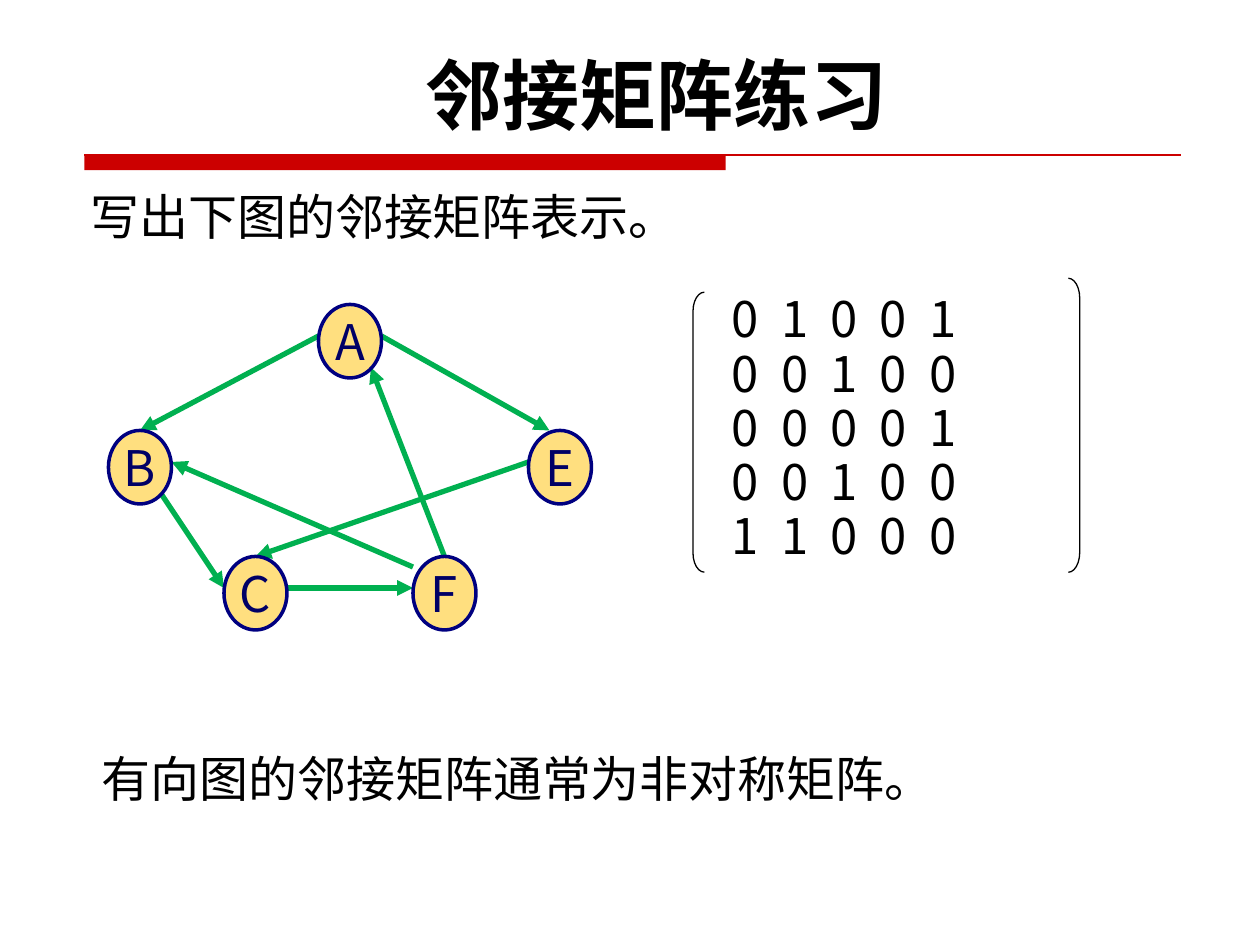
import pptx
import pptx.dml.color
import pptx.enum.shapes
import pptx.enum.text
import pptx.oxml.ns
import pptx.util
from lxml import etree

Pt = pptx.util.Pt
SHAPE = pptx.enum.shapes.MSO_SHAPE
ALIGN = pptx.enum.text.PP_ALIGN
ANCHOR = pptx.enum.text.MSO_ANCHOR
qn = pptx.oxml.ns.qn
SANS = "Noto Sans CJK SC"


def color(hex_value):
    """Turn a hex string into a colour."""
    return pptx.dml.color.RGBColor.from_string(hex_value)


def write(shape, text, size=28, font=SANS, ink="000000", bold=False, align=ALIGN.LEFT,
          anchor=ANCHOR.TOP, wrap=True, inset=None, spacing=None, tabs=()):
    """Put one formatted paragraph into a shape."""
    frame = shape.text_frame
    frame.word_wrap = wrap
    frame.vertical_anchor = anchor
    if inset is not None:
        frame.margin_left = frame.margin_right = Pt(inset)
        frame.margin_top = frame.margin_bottom = Pt(inset)
    paragraph = frame.paragraphs[0]
    paragraph.alignment = align
    if spacing:
        paragraph.line_spacing = spacing
    if tabs:
        stops = etree.SubElement(paragraph._p.get_or_add_pPr(), qn("a:tabLst"))
        for position in tabs:
            etree.SubElement(stops, qn("a:tab"), pos=str(Pt(position)), algn="l")
    run = paragraph.add_run()
    run.text = text
    run.font.size = Pt(size)
    run.font.bold = bold
    run.font.name = font
    run.font.color.rgb = color(ink)
    etree.SubElement(run._r.get_or_add_rPr(), qn("a:ea"), typeface=SANS)


def add_label(shapes, box, text, **style):
    """Add a text box with formatted text."""
    label = shapes.add_textbox(*map(Pt, box))
    write(label, text, **style)


def add_outline(shapes, kind, box, ink, width):
    """Add an unfilled preset shape with a line."""
    outline = shapes.add_shape(kind, *map(Pt, box))
    outline.shadow.inherit = False
    outline.fill.background()
    outline.line.color.rgb = color(ink)
    outline.line.width = Pt(width)
    return outline


def add_line(shapes, start, end, ink, width, arrow=False):
    """Add a straight line, with an arrowhead at its end if asked."""
    line = shapes.add_connector(pptx.enum.shapes.MSO_CONNECTOR.STRAIGHT,
                                *map(Pt, (*start, *end)))
    line.line.color.rgb = color(ink)
    line.line.width = Pt(width)
    if arrow:
        etree.SubElement(line.line._get_or_add_ln(), qn("a:tailEnd"), type="triangle")
    etree.SubElement(line._element.spPr, qn("a:effectLst"))


def add_header(shapes, left, top, width):
    """Draw the title and the red rule under it."""
    add_label(shapes, (left - 5.8, top, 666, 60.5), "邻接矩阵练习", size=44, font="Karla",
              bold=True, align=ALIGN.CENTER)
    rule_top = top + 64.8
    bar = shapes.add_shape(SHAPE.RECTANGLE, Pt(left), Pt(rule_top), Pt(366.5), Pt(8.6))
    bar.shadow.inherit = False
    bar.fill.solid()
    bar.fill.fore_color.rgb = color("CC0000")
    bar.line.fill.background()
    add_line(shapes, (left, rule_top), (left + width, rule_top), "CC0000", 0.75)


def add_graph(shapes, left, top):
    """Draw the directed graph with its edges behind its nodes."""
    graph = shapes.add_group_shape().shapes
    nodes = {"A": (120, 0), "B": (0, 72), "E": (240, 72), "C": (66, 144), "F": (174, 144)}
    edges = [("A", (0, 18), "B", (18, 0)), ("B", (30, 36), "C", (0, 18)),
             ("C", (36, 18), "F", (0, 18)), ("F", (18, 0), "A", (30, 36)),
             ("A", (36, 18), "E", (12, 0)), ("F", (0, 6), "B", (36, 18)),
             ("E", (0, 18), "C", (18, 0))]

    def place(node, offset=(0, 0)):
        """Find a point relative to a node's corner."""
        x, y = nodes[node]
        return left + x + offset[0], top + y + offset[1]

    for source, leave, target, arrive in edges:
        add_line(graph, place(source, leave), place(target, arrive), "00B050", 3, arrow=True)
    for name in nodes:
        node = add_outline(graph, SHAPE.OVAL, (*place(name), 36, 42), "000080", 2)
        node.fill.solid()
        node.fill.fore_color.rgb = color("FFC000")
        fill_color = node._element.spPr.find(qn("a:solidFill"))[0]
        etree.SubElement(fill_color, qn("a:alpha"), val="50000")
        write(node, name, ink="000066", align=ALIGN.CENTER, anchor=ANCHOR.MIDDLE,
              wrap=False, inset=0)


def add_matrix(shapes, left, top, width, height):
    """Draw the adjacency matrix between its brackets."""
    bracket_width = 6.5
    brackets = [(SHAPE.LEFT_BRACKET, left, top + 8, 1.67),
                (SHAPE.RIGHT_BRACKET, left + width - bracket_width, top, 1.75)]
    for kind, x, y, curve in brackets:
        bracket = add_outline(shapes, kind, (x, y, bracket_width, top + height - y),
                              "000000", 0.75)
        bracket.adjustments[0] = curve
    rows = ["01001", "00100", "00001", "00100", "11000"]
    for index, row in enumerate(rows):
        add_label(shapes, (left + 15, top + 2.5 + 31 * index, 206.5, 41), "\t".join(row),
                  tabs=[28.2 * column for column in range(1, len(row))])


def main():
    """Build the slide and save it."""
    deck = pptx.Presentation()
    deck.slide_width, deck.slide_height = Pt(720), Pt(540)
    shapes = deck.slides.add_slide(deck.slide_layouts[6]).shapes
    add_header(shapes, 48.2, 23.8, 626.4)
    add_label(shapes, (44.6, 101.5, 522, 42.5), "写出下图的邻接矩阵表示。", anchor=ANCHOR.BOTTOM)
    add_graph(shapes, 62, 174)
    add_matrix(shapes, 396, 159, 221, 168)
    add_label(shapes, (51, 416, 652, 44), "有向图的邻接矩阵通常为非对称矩阵。", spacing=1.25)
    deck.save("out.pptx")


if __name__ == "__main__":
    main()
